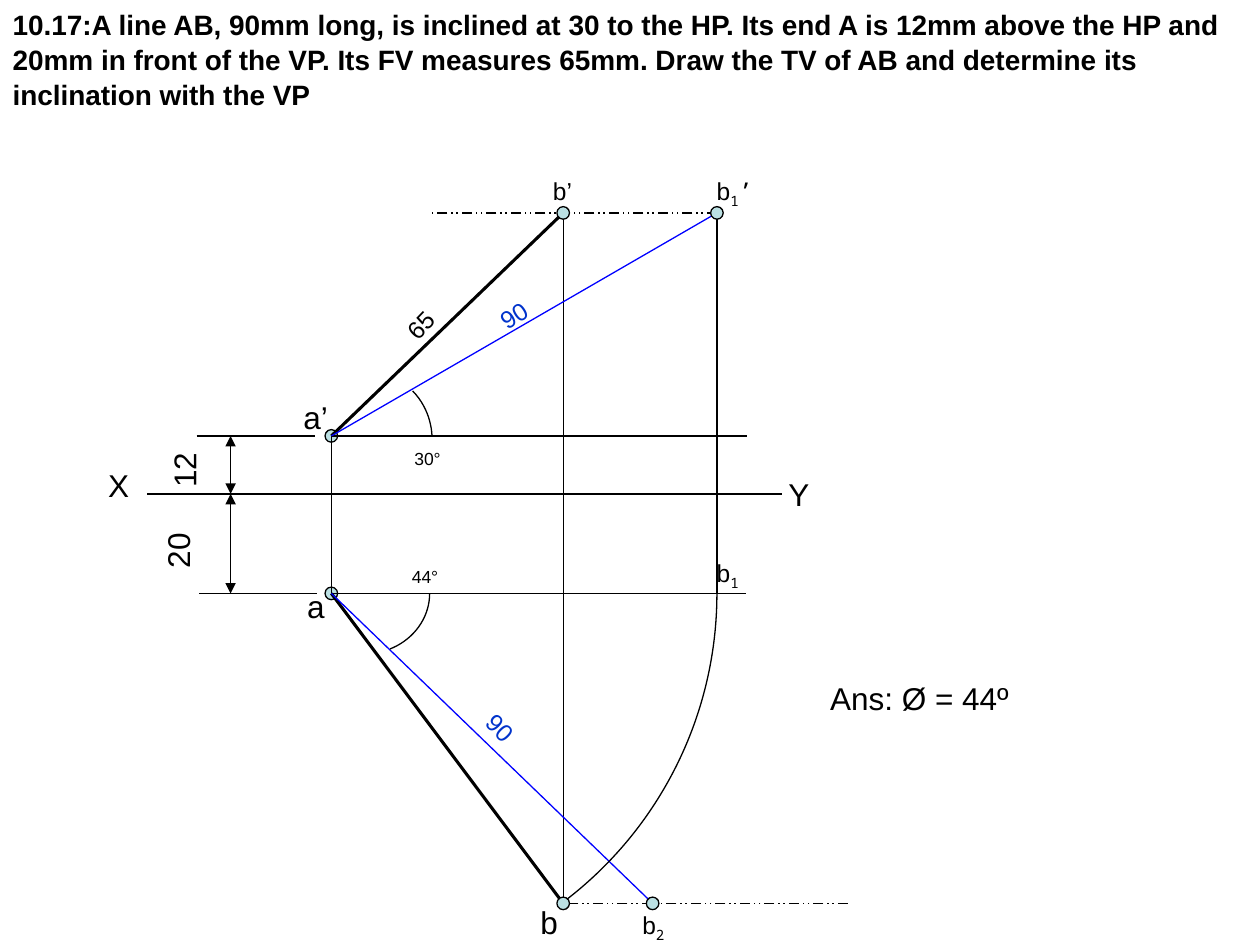
from lxml import etree
from pptx import Presentation
from pptx.dml.color import RGBColor
from pptx.enum.dml import MSO_LINE
from pptx.enum.shapes import MSO_CONNECTOR, MSO_SHAPE
from pptx.enum.text import MSO_ANCHOR, PP_ALIGN
from pptx.oxml.ns import qn
from pptx.util import Inches, Pt

STRAIGHT = MSO_CONNECTOR.STRAIGHT
OVAL, ARC = MSO_SHAPE.OVAL, MSO_SHAPE.ARC
DASH_DOT_DOT = MSO_LINE.DASH_DOT_DOT
TOP, LEFT = MSO_ANCHOR.TOP, PP_ALIGN.LEFT

BLACK, BLUE, LABEL_BLUE, POINT_FILL = "000000", "0000FF", "0033CC", "BBE0E3"
THIN, THICK = 0.75, 1.75
POINT_SIZE = 0.1

TITLE = (
    "10.17:A line AB, 90mm long, is inclined at 30 to the HP. Its end A is 12mm "
    "above the HP and 20mm in front of the VP. Its FV measures 65mm. Draw the TV "
    "of AB and determine its inclination with the VP"
)

A_X, B_X, B1_X, B2_X = 2.63, 4.47, 5.69, 5.18
B_FRONT_Y, A_FRONT_Y, XY_Y, A_TOP_Y, B_TOP_Y = 1.69, 3.46, 3.92, 4.71, 7.17
DIMENSION_X = 1.83

A_FRONT, B_FRONT, B1_FRONT = (A_X, A_FRONT_Y), (B_X, B_FRONT_Y), (B1_X, B_FRONT_Y)
A_TOP, B_TOP, B2_TOP = (A_X, A_TOP_Y), (B_X, B_TOP_Y), (B2_X, B_TOP_Y)

END_A_POINTS = [A_FRONT, A_TOP]
END_B_POINTS = [B_FRONT, B1_FRONT, B_TOP, B2_TOP]

THIN_LINES = [
    ((1.17, XY_Y), (6.21, XY_Y)),
    ((1.56, A_FRONT_Y), (2.5, A_FRONT_Y)),
    ((1.58, A_TOP_Y), (2.52, A_TOP_Y)),
    (A_FRONT, (5.93, A_FRONT_Y)),
    (A_TOP, (5.92, A_TOP_Y)),
    (A_FRONT, A_TOP),
    (B_FRONT, B_TOP),
    (B1_FRONT, (B1_X, A_TOP_Y)),
]
TRUE_LENGTHS = [(A_FRONT, B1_FRONT), (A_TOP, B2_TOP)]
VIEWS = [(A_FRONT, B_FRONT), (A_TOP, B_TOP)]
LOCI = [(B1_FRONT, (3.43, B_FRONT_Y)), ((6.73, B_TOP_Y), B_TOP)]
DIMENSIONS = [
    ((DIMENSION_X, A_FRONT_Y), (DIMENSION_X, XY_Y)),
    ((DIMENSION_X, XY_Y), (DIMENSION_X, A_TOP_Y)),
]

ARCS = [
    ((2.94, 3.49), 0.49, 0.53, 311, 356),
    ((2.89, A_TOP_Y), 0.52, 0.48, 0, 65),
    ((2.62, A_TOP_Y), 3.07, 3.07, 0, 53.2),
]

LABELS = [
    ("X", "", "", (0.76, 3.65, 0.59, 0.4), 18, BLACK, 0),
    ("Y", "", "", (6.16, 3.72, 0.53, 0.4), 18, BLACK, 0),
    ("12", "", "", (1.22, 3.53, 0.48, 0.4), 18, BLACK, 270),
    ("20", "", "", (1.17, 4.17, 0.48, 0.4), 18, BLACK, 270),
    ("a’", "", "", (2.31, 3.11, 0.47, 0.4), 18, BLACK, 0),
    ("a", "", "", (2.34, 4.61, 0.47, 0.4), 18, BLACK, 0),
    ("b", "", "", (4.19, 7.12, 0.47, 0.4), 18, BLACK, 0),
    ("b’", "", "", (4.29, 1.35, 0.42, 0.34), 14, BLACK, 0),
    ("b", "1", "’", (5.59, 1.35, 0.56, 0.37), 14, BLACK, 0),
    ("b", "1", "", (5.59, 4.38, 0.56, 0.37), 14, BLACK, 0),
    ("b", "2", "", (5, 7.17, 0.56, 0.37), 14, BLACK, 0),
    ("65", "", "", (3.13, 2.41, 0.42, 0.34), 14, BLACK, 313.8),
    ("90", "", "", (3.87, 2.33, 0.42, 0.34), 14, LABEL_BLUE, 327.1),
    ("90", "", "", (3.76, 5.61, 0.42, 0.34), 14, LABEL_BLUE, 45.6),
    ("30°", "", "", (3.19, 3.51, 0.41, 0.27), 10, BLACK, 0),
    ("44°", "", "", (3.17, 4.44, 0.41, 0.27), 10, BLACK, 0),
    ("Ans: Ø = 44º", "", "", (6.49, 5.34, 2.66, 0.4), 18, BLACK, 0),
]


def colour(value):
    return RGBColor.from_string(value)


def set_font(font, size, value, bold=False):
    font.name = "Arial"
    font.size = Pt(size)
    font.bold = bold
    font.color.rgb = colour(value)


def add_title(slide):
    title = slide.shapes.title
    title.left, title.top, title.width, title.height = map(Inches, (0, 0, 10, 0.9))
    frame = title.text_frame
    frame.text = TITLE
    frame.word_wrap = True
    frame.vertical_anchor = TOP
    paragraph = frame.paragraphs[0]
    paragraph.alignment = LEFT
    paragraph.line_spacing = 1.04
    paragraph.space_before = Pt(0)
    set_font(paragraph.font, 16, BLACK, True)


def add_line(slide, start, end, value=BLACK, width=THIN, dash=None, arrows=False):
    connector = slide.shapes.add_connector(STRAIGHT, *map(Inches, start + end))
    connector.line.color.rgb = colour(value)
    connector.line.width = Pt(width)
    if dash:
        connector.line.dash_style = dash
    properties = connector._element.spPr
    if arrows:
        outline = properties.find(qn("a:ln"))
        for tag in ("a:headEnd", "a:tailEnd"):
            etree.SubElement(outline, qn(tag), type="triangle")
    etree.SubElement(properties, qn("a:effectLst"))


def add_round_shape(slide, kind, center, radius_x, radius_y):
    x, y = center
    box = (x - radius_x, y - radius_y, 2 * radius_x, 2 * radius_y)
    shape = slide.shapes.add_shape(kind, *map(Inches, box))
    shape.shadow.inherit = False
    shape.line.color.rgb = colour(BLACK)
    shape.line.width = Pt(THIN)
    return shape


def add_points(slide, points):
    for point in points:
        shape = add_round_shape(slide, OVAL, point, POINT_SIZE / 2, POINT_SIZE / 2)
        shape.fill.solid()
        shape.fill.fore_color.rgb = colour(POINT_FILL)


def add_arc(slide, center, radius_x, radius_y, start, end):
    shape = add_round_shape(slide, ARC, center, radius_x, radius_y)
    shape.fill.background()
    for index, degrees in enumerate((start, end)):
        shape.adjustments[index] = degrees * 0.6


def add_label(slide, text, subscript, mark, box, size, value, rotation):
    label = slide.shapes.add_textbox(*map(Inches, box))
    label.rotation = rotation
    label.text_frame.word_wrap = size > 10
    paragraph = label.text_frame.paragraphs[0]
    paragraph.add_run().text = text
    for extra in filter(None, (subscript, mark)):
        run = paragraph.add_run()
        run.text = extra
        run.font.name = "Noto Sans Mono"
        if extra == subscript:
            run.font._element.set("baseline", "-25000")
    set_font(paragraph.font, size, value)


def main():
    presentation = Presentation()
    presentation.slide_width, presentation.slide_height = Inches(10), Inches(7.5)
    slide = presentation.slides.add_slide(presentation.slide_layouts[5])
    add_title(slide)
    add_points(slide, END_A_POINTS)
    for start, end in THIN_LINES:
        add_line(slide, start, end)
    for start, end in VIEWS:
        add_line(slide, start, end, width=THICK)
    for start, end in TRUE_LENGTHS:
        add_line(slide, start, end, BLUE)
    for start, end in LOCI:
        add_line(slide, start, end, dash=DASH_DOT_DOT)
    for start, end in DIMENSIONS:
        add_line(slide, start, end, arrows=True)
    for arc in ARCS:
        add_arc(slide, *arc)
    add_points(slide, END_B_POINTS)
    for label in LABELS:
        add_label(slide, *label)
    presentation.save("out.pptx")


if __name__ == "__main__":
    main()
